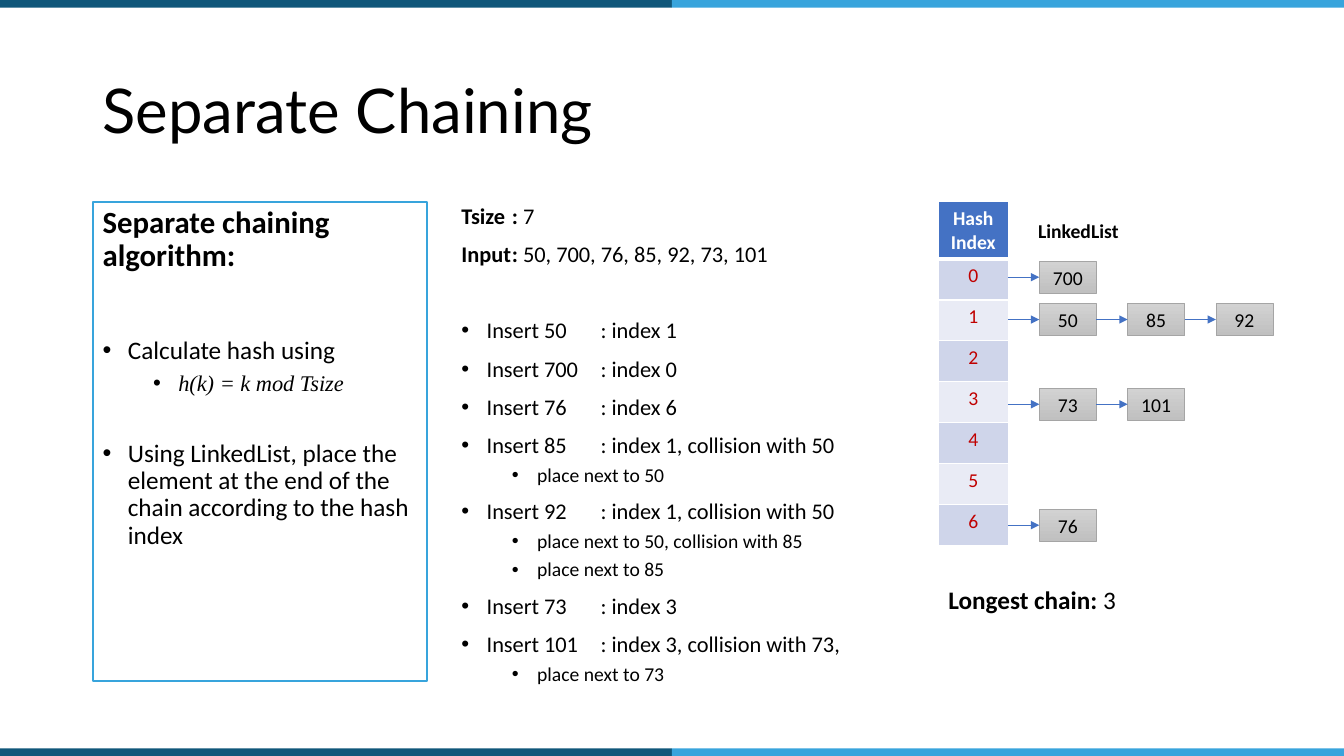
"""Build a slide that explains separate chaining with a worked hash table."""
import pptx
import pptx.dml.color
import pptx.enum.shapes
import pptx.enum.text
import pptx.oxml
import pptx.oxml.ns
import pptx.util
from lxml import etree

WIDTH, HEIGHT = 13.33, 7.5
DARK, SKY, BLUE, WHITE, BLACK = "10577A", "38A4DC", "4472C4", "FFFFFF", "000000"
BANDS = ("CFD5EA", "E9EBF5")
NODE_LEFT, NODE_WIDTH, NODE_HEIGHT, NODE_STEP = 77.33, 4.24, 4.27, 6.57
CHAINS = [(36.67, [700]), (42.27, [50, 85, 92]), (53.47, [73, 101]), (69.47, [76])]
STEPS = [
    ("Insert 50\t: index 1", []),
    ("Insert 700\t: index 0", []),
    ("Insert 76\t: index 6", []),
    ("Insert 85\t: index 1, collision with 50", ["place next to 50"]),
    ("Insert 92\t: index 1, collision with 50",
     ["place next to 50, collision with 85", "place next to 85"]),
    ("Insert 73\t: index 3", []),
    ("Insert 101\t: index 3, collision with 73,", ["place next to 73"]),
]
RECTANGLE = pptx.enum.shapes.MSO_SHAPE.RECTANGLE
MIDDLE = pptx.enum.text.MSO_ANCHOR.MIDDLE
CENTER = pptx.enum.text.PP_ALIGN.CENTER


def colour(value):
    """Turn a hex string into a colour."""
    return pptx.dml.color.RGBColor.from_string(value)


def across(share):
    """Turn a percentage of the slide's width into a length."""
    return pptx.util.Inches(WIDTH * share / 100)


def down(share):
    """Turn a percentage of the slide's height into a length."""
    return pptx.util.Inches(HEIGHT * share / 100)


def area(left, top, width, height):
    """Turn percentages of the slide into a position and a size."""
    return across(left), down(top), across(width), down(height)


def add_xml(parent, tag, **attributes):
    """Append a drawing element to its parent."""
    return etree.SubElement(parent, pptx.oxml.ns.qn(tag), attributes)


def style(span, size, bold=False, font="Calibri", ink=BLACK, italic=False):
    """Format one run of text."""
    span.font.size = pptx.util.Pt(size)
    span.font.name = font
    span.font.bold = bold
    span.font.italic = italic
    span.font.color.rgb = colour(ink)


def add_para(frame, pieces, size, before=0, level=None, tab=None, spacing=0.9, **look):
    """Write (text, bold) pieces as one paragraph, bulleted if it has a level."""
    unused = not frame.paragraphs[0].runs
    para = frame.paragraphs[0] if unused else frame.add_paragraph()
    para.line_spacing = spacing
    para.space_before = pptx.util.Pt(before)
    for text, bold in pieces:
        span = para.add_run()
        span.text = text
        style(span, size, bold, **look)
    if level is not None:
        para.level = level
        properties = para._p.get_or_add_pPr()
        properties.set("marL", str(pptx.util.Inches(0.25 + 0.5 * level)))
        properties.set("indent", str(pptx.util.Inches(-0.25)))
        add_xml(properties, "a:buFont", typeface="Arial")
        add_xml(properties, "a:buChar", char="•")
        if tab:
            stops = add_xml(properties, "a:tabLst")
            add_xml(stops, "a:tab", pos=str(pptx.util.Inches(tab)), algn="l")


def add_text_box(page, place, wrap=True):
    """Add an empty text box and return its frame."""
    frame = page.shapes.add_textbox(*place).text_frame
    frame.word_wrap = wrap
    return frame


def add_box(page, place, fill=None, line=None, weight=1.0):
    """Add a flat rectangle."""
    box = page.shapes.add_shape(RECTANGLE, *place)
    box.shadow.inherit = False
    if fill:
        box.fill.solid()
        box.fill.fore_color.rgb = colour(fill)
    else:
        box.fill.background()
    if line:
        box.line.color.rgb = colour(line)
        box.line.width = pptx.util.Pt(weight)
    else:
        box.line.fill.background()
    return box


def add_arrow(page, start, end, level):
    """Add a horizontal arrow."""
    arrow = page.shapes.add_connector(
        pptx.enum.shapes.MSO_CONNECTOR.STRAIGHT,
        across(start), down(level), across(end), down(level))
    arrow.line.color.rgb = colour(BLUE)
    arrow.line.width = pptx.util.Pt(0.5)
    properties = arrow.element.spPr
    add_xml(properties.find(pptx.oxml.ns.qn("a:ln")), "a:tailEnd", type="triangle")
    add_xml(properties, "a:effectLst")


def add_node(page, left, centre, value):
    """Add a list node with the arrow that leads to it."""
    place = area(left, centre - NODE_HEIGHT / 2, NODE_WIDTH, NODE_HEIGHT)
    box = add_box(page, place, line="A5A5A5", weight=0.5)
    box.fill.gradient()
    box.fill.gradient_angle = 270
    for stop, shade in zip(box.fill.gradient_stops, ("D2D2D2", "C0C0C0")):
        stop.color.rgb = colour(shade)
    frame = box.text_frame
    frame.vertical_anchor = MIDDLE
    frame.text = str(value)
    frame.paragraphs[0].alignment = CENTER
    style(frame.paragraphs[0].runs[0], 14)
    add_arrow(page, left - NODE_STEP + NODE_WIDTH, left, centre)


def fill_cell(cell, text, fill, ink, bold=False, bottom=1):
    """Write, fill and border one table cell."""
    cell.text = text
    para = cell.text_frame.paragraphs[0]
    para.alignment = CENTER
    style(para.runs[0], 14, bold, ink=ink)
    properties = cell._tc.get_or_add_tcPr()
    for side, weight in zip("LRTB", (1, 1, 1, bottom)):
        edge = add_xml(properties, "a:ln" + side, w=str(pptx.util.Pt(weight)))
        add_xml(add_xml(edge, "a:solidFill"), "a:srgbClr", val=WHITE)
    cell.fill.solid()
    cell.fill.fore_color.rgb = colour(fill)


def add_hash_table(page):
    """Add the column of hash indexes."""
    place = area(69.83, 26.67, 5.18, 45.47)
    table = page.shapes.add_table(8, 1, *place).table
    for number, row in enumerate(table.rows):
        row.height = down(5.41 if number else 7.6)
        if number:
            fill_cell(row.cells[0], str(number - 1), BANDS[(number - 1) % 2], "C00000")
    fill_cell(table.cell(0, 0), "Hash Index", BLUE, WHITE, bold=True, bottom=3)
    table.cell(0, 0).vertical_anchor = MIDDLE


def add_algorithm(page):
    """Add the framed description of the algorithm."""
    box = add_box(page, area(6.9, 26.67, 24.9, 63.47), line=SKY, weight=1.5)
    frame = box.text_frame
    frame.word_wrap = True
    frame.vertical_anchor = pptx.enum.text.MSO_ANCHOR.TOP
    add_para(frame, [("Separate chaining algorithm:", True)], 22, 10)
    add_para(frame, [("Calculate hash using", False)], 18, 46, 0)
    add_para(frame, [("h(k) = k mod Tsize", False)], 16, 5, 1,
             font="Times New Roman", italic=True)
    add_para(frame, [("Using LinkedList, place the element at the end of the chain "
                      "according to the hash index", False)], 18, 32, 0)
    for para in frame.paragraphs:
        para.alignment = pptx.enum.text.PP_ALIGN.LEFT


def add_steps(page):
    """Add the input and the insertions it leads to."""
    frame = add_text_box(page, area(33.6, 26.53, 32.63, 68))
    add_para(frame, [("Tsize\t:", True), (" 7", False)], 16, 10)
    add_para(frame, [("Input\t:", True), (" 50, 700, 76, 85, 92, 73, 101", False)], 16, 10)
    for number, (step, notes) in enumerate(STEPS):
        add_para(frame, [(step, False)], 16, 10 if number else 37, 0, tab=1.38)
        for note in notes:
            add_para(frame, [(note, False)], 14, 5, 1, tab=1.38)


def main():
    """Build the slide and save it."""
    deck = pptx.Presentation()
    deck.slide_width, deck.slide_height = across(100), down(100)
    page = deck.slides.add_slide(deck.slide_layouts[6])
    for top in (0, 99):
        for left, fill in ((0, DARK), (50, SKY)):
            add_box(page, area(left, top, 50, 1), fill)
    title = add_text_box(page, area(6.9, 5.33, 86.25, 19.33))
    title.vertical_anchor = MIDDLE
    add_para(title, [("Separate Chaining", False)], 44, font="Lato")
    add_algorithm(page)
    add_steps(page)
    add_hash_table(page)
    for centre, values in CHAINS:
        for place, value in enumerate(values):
            add_node(page, NODE_LEFT + place * NODE_STEP, centre, value)
    caption = add_text_box(page, area(76.5, 28.27, 7.58, 4.53), wrap=False)
    add_para(caption, [("LinkedList", True)], 14, spacing=1.0)
    longest = add_text_box(page, area(69.83, 76.67, 14.1, 5.33), wrap=False)
    add_para(longest, [("Longest chain: ", True), ("3", False)], 18, spacing=1.0)
    deck.save("out.pptx")


if __name__ == "__main__":
    main()
